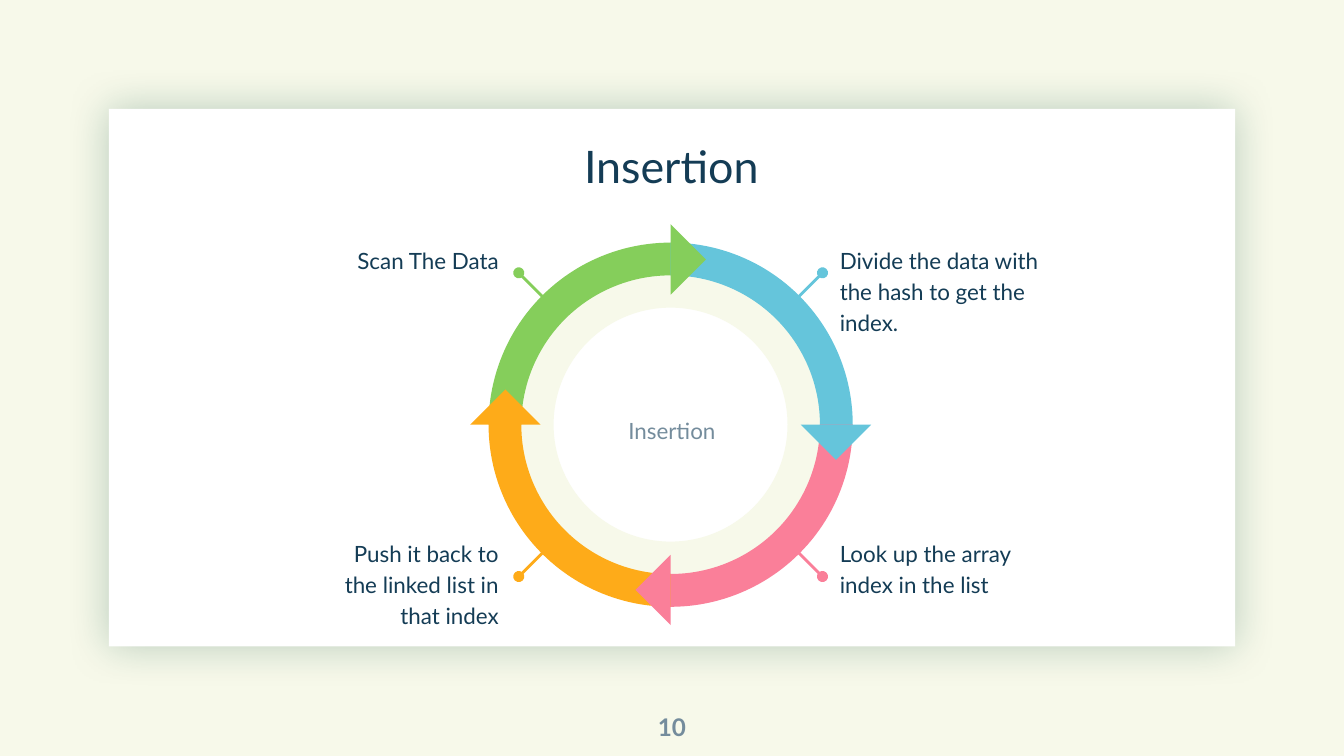
import math

import pptx
import pptx.dml.color
import pptx.enum.shapes
import pptx.enum.text
import pptx.oxml
import pptx.oxml.ns
import pptx.util

SHAPE = pptx.enum.shapes.MSO_SHAPE
ALIGN = pptx.enum.text.PP_ALIGN
ANCHOR = pptx.enum.text.MSO_ANCHOR
Inches = pptx.util.Inches

# Content
TITLE = "Insertion"
HUB = "Insertion"
PAGE = "10"
CREAM, WHITE, NAVY, GREY = "F7F9EA", "FFFFFF", "143C55", "748C9C"

# Steps clockwise from the upper left: text, colour, label width
STEPS = [
    ("Scan The Data", "85CE5B", 1.69),
    ("Divide the data with the hash to get the index.", "65C5DB", 1.82),
    ("Look up the array index in the list", "FA7F99", 1.51),
    ("Push it back to the linked list in that index", "FEAB19", 1.51),
]

# Geometry in inches, on a 16:9 slide
WIDTH = 10
HEIGHT = WIDTH * 9 / 16
CX, CY = 4.99, 3.16
ARC, TRACK, ARROW = 2.71, 2.56, 0.37
ARROW_RADIUS = 1.23
OVERLAP = 1  # degrees each arc runs on under its tip
PIN_IN, PIN_OUT = 0.79, 1.13
LABEL_LEFT_EDGE, LABEL_RIGHT_EDGE = 6.15, 3.81
LABEL_TOPS = {-1: 1.71, 1: 3.89}
LABEL_HEIGHT = 0.68
PAGE_WIDTH, PAGE_HEIGHT = 0.6, 0.43


def rgb(colour):
    return pptx.dml.color.RGBColor.from_string(colour)


def add_effects(drawn, inner=""):
    drawn._element.spPr.append(pptx.oxml.parse_xml(
        f'<a:effectLst {pptx.oxml.ns.nsdecls("a")}>{inner}</a:effectLst>'))


def add_filled(kind, left, top, width, height, colour):
    shape = slide.shapes.add_shape(
        kind, Inches(left), Inches(top), Inches(width), Inches(height))
    shape.shadow.inherit = False
    shape.fill.solid()
    shape.fill.fore_color.rgb = rgb(colour)
    shape.line.fill.background()
    return shape


def add_centred(kind, x, y, size, colour):
    return add_filled(kind, x - size / 2, y - size / 2, size, size, colour)


def add_text(text, left, top, width, height, size=12, colour=NAVY, align=ALIGN.CENTER,
             anchor=ANCHOR.TOP, inset=0.1, spacing=1.15, bold=False):
    frame = slide.shapes.add_textbox(
        Inches(left), Inches(top), Inches(width), Inches(height)).text_frame
    frame.word_wrap = True
    frame.vertical_anchor = anchor
    frame.margin_left = frame.margin_right = Inches(inset)
    frame.margin_top = frame.margin_bottom = Inches(inset)
    frame.text = text
    paragraph = frame.paragraphs[0]
    paragraph.alignment = align
    paragraph.line_spacing = spacing
    font = paragraph.runs[0].font
    font.name, font.size, font.bold = "Lato", pptx.util.Pt(size), bold
    font.color.rgb = rgb(colour)


def add_pin(side_x, side_y, colour):
    pin = slide.shapes.add_connector(
        pptx.enum.shapes.MSO_CONNECTOR.STRAIGHT,
        Inches(CX + side_x * PIN_OUT), Inches(CY + side_y * PIN_OUT),
        Inches(CX + side_x * PIN_IN), Inches(CY + side_y * PIN_IN))
    pin.line.color.rgb = rgb(colour)
    pin.line.width = pptx.util.Pt(1.5)
    pin.line._get_or_add_ln().append(pptx.oxml.parse_xml(
        f'<a:headEnd {pptx.oxml.ns.nsdecls("a")} type="oval"/>'))
    add_effects(pin)


prs = pptx.Presentation()
prs.slide_width, prs.slide_height = Inches(WIDTH), Inches(HEIGHT)
slide = prs.slides.add_slide(prs.slide_layouts[6])
slide.background.fill.solid()
slide.background.fill.fore_color.rgb = rgb(CREAM)

# Card with a soft glow-like shadow
card = add_filled(SHAPE.RECTANGLE, 0.81, 0.81, 8.38, 4, WHITE)
card.shadow.inherit = True
add_effects(card, f'<a:outerShdw blurRad="{pptx.util.Pt(22.5)}" dist="0" dir="0" '
                  'algn="ctr" rotWithShape="0"><a:srgbClr val="054C3A">'
                  '<a:alpha val="25000"/></a:srgbClr></a:outerShdw>')

# Title and page number
add_text(TITLE, 1.18, 1.07, 7.63, 0.37, size=24, anchor=ANCHOR.BOTTOM,
         inset=0, spacing=0.9)
add_text(PAGE, (WIDTH - PAGE_WIDTH) / 2, HEIGHT - PAGE_HEIGHT, PAGE_WIDTH, PAGE_HEIGHT,
         size=13, colour=GREY, anchor=ANCHOR.MIDDLE, inset=0, spacing=1, bold=True)

# Pale track inside the cycle, with its caption
track = add_centred(SHAPE.DONUT, CX, CY, TRACK, CREAM)
track.adjustments[0] = 0.16
add_text(HUB, 4.27, 2.78, 1.46, 0.81, colour=GREY, anchor=ANCHOR.MIDDLE)

# Pins, labels and quarter arcs
for i, (text, colour, width) in enumerate(STEPS):
    side_x = 1 if i in (1, 2) else -1
    side_y = 1 if i >= 2 else -1
    add_pin(side_x, side_y, colour)
    left = LABEL_LEFT_EDGE if side_x > 0 else LABEL_RIGHT_EDGE - width
    add_text(text, left, LABEL_TOPS[side_y], width, LABEL_HEIGHT,
             align=ALIGN.LEFT if side_x > 0 else ALIGN.RIGHT)
    arc = add_centred(SHAPE.BLOCK_ARC, CX, CY, ARC, colour)
    # Angles are 60000ths of a degree, adjustments 100000ths: factor 0.6
    arc.adjustments[0] = (180 + 90 * i) % 360 * 0.6
    arc.adjustments[1] = (270 + 90 * i + OVERLAP) % 360 * 0.6
    arc.adjustments[2] = 0.09

# Arrow tips where each arc meets the next
for i, (_, colour, _) in enumerate(STEPS):
    angle = math.radians(270 + 90 * i)
    tip = add_centred(SHAPE.RIGHT_TRIANGLE, CX + ARROW_RADIUS * math.cos(angle),
                      CY + ARROW_RADIUS * math.sin(angle), ARROW, colour)
    tip.rotation = (225 + 90 * i) % 360

prs.save("out.pptx")
